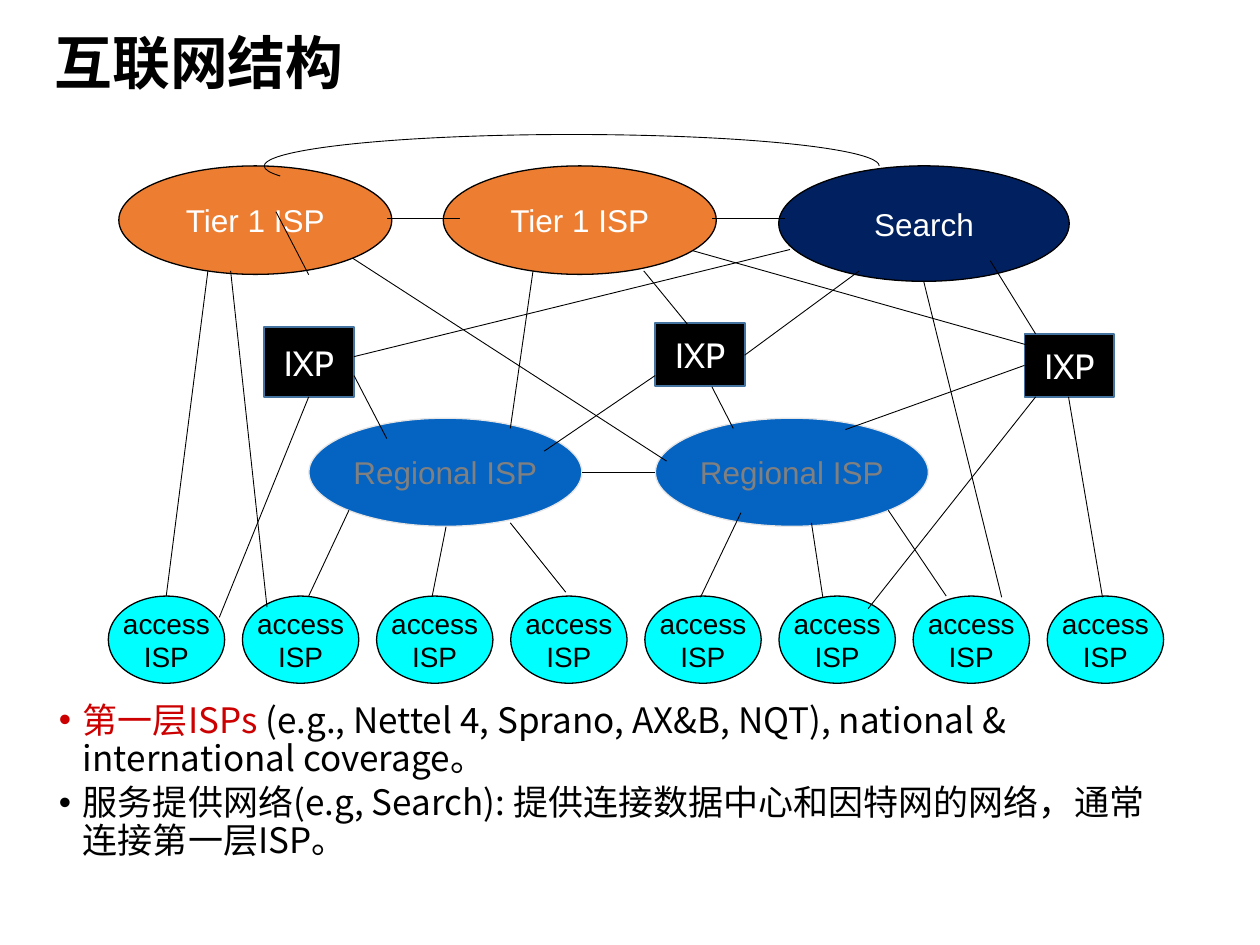
from dataclasses import dataclass

from lxml.etree import SubElement
from pptx import Presentation
from pptx.dml.color import RGBColor
from pptx.enum.shapes import MSO_CONNECTOR, MSO_SHAPE
from pptx.enum.text import MSO_ANCHOR, PP_ALIGN
from pptx.oxml.ns import qn
from pptx.util import Pt


@dataclass(frozen=True)
class Theme:
    black: str = "000000"
    white: str = "FFFFFF"
    red: str = "CC0000"
    gray: str = "808080"
    pale: str = "E7E6E6"
    cyan: str = "00FFFF"
    blue: str = "0563C1"
    navy: str = "002060"
    orange: str = "ED7D31"
    steel: str = "43739E"
    head: int = 33
    body: int = 20
    node: int = 18
    small: int = 16
    sans: str = "Arial"
    cjk: str = "Noto Sans CJK SC"
    mark: str = "Cabin"


theme = Theme()


def write(para, text, size, color, face, bold=False):
    run = para.add_run()
    run.text = text
    font = run.font
    font.size = Pt(size)
    font.bold = bold
    font.name = face
    font.color.rgb = RGBColor.from_string(color)
    SubElement(run._r.get_or_add_rPr(), qn("a:ea")).set("typeface", face)


deck = Presentation()
deck.slide_width = Pt(720)
deck.slide_height = Pt(540)
slide = deck.slides.add_slide(deck.slide_layouts[5])
shapes = slide.shapes

title = shapes.title
title.left, title.top, title.width, title.height = Pt(24), Pt(12.2), Pt(637), Pt(51)
title.text_frame.vertical_anchor = MSO_ANCHOR.MIDDLE
para = title.text_frame.paragraphs[0]
para.alignment = PP_ALIGN.LEFT
para.line_spacing = 0.9
write(para, "互联网结构", size=theme.head, color=theme.black, face=theme.cjk, bold=True)

notes = [
    [
        ("第一层ISPs ", theme.red),
        ("(e.g., Nettel 4, Sprano, AX&B, NQT), national & international coverage。", theme.black),
    ],
    [("服务提供网络(e.g, Search): 提供连接数据中心和因特网的网络，通常连接第一层ISP。", theme.black)],
]
box = shapes.add_textbox(Pt(0), Pt(398.2), Pt(664.6), Pt(100))
frame = box.text_frame
frame.word_wrap = True
for i, parts in enumerate(notes):
    para = frame.add_paragraph() if i else frame.paragraphs[0]
    para.line_spacing = 0.9
    if i:
        para.space_before = Pt(3.8)
    props = para._p.get_or_add_pPr()
    props.set("marL", str(Pt(40.3)))
    props.set("indent", str(Pt(-13.7)))
    SubElement(props, qn("a:buFont")).set("typeface", theme.sans)
    SubElement(props, qn("a:buChar")).set("char", "•")
    for text, color in parts:
        write(para, text, size=theme.body, color=color, face=theme.cjk)

oval, rect = MSO_SHAPE.OVAL, MSO_SHAPE.RECTANGLE
looks = {
    "access": (oval, theme.cyan, theme.black, 0.75, theme.black, theme.small, theme.sans),
    "region": (oval, theme.blue, theme.pale, 0.75, theme.gray, theme.node, theme.sans),
    "ixp": (rect, theme.black, theme.steel, 1, theme.white, theme.body, theme.mark),
    "tier": (oval, theme.orange, theme.black, 0.75, theme.white, theme.node, theme.sans),
    "content": (oval, theme.navy, theme.black, 0.75, theme.white, theme.node, theme.sans),
}
nodes = [("access", "access\nISP", 61.9 + 76.65 * i, 340.6, 66.5, 49.8) for i in range(8)]
nodes += [("region", "Regional ISP", x, 239, 156, 61.8) for x in (176.5, 374.5)]
nodes += [("tier", "Tier 1 ISP", x, 94.8, 156, 62) for x in (67.9, 253.3)]
nodes += [
    ("content", "Search", 445, 94.8, 166, 66),
    ("ixp", "IXP", 151, 187, 51.2, 39.8),
    ("ixp", "IXP", 374.5, 184.8, 51.2, 36),
    ("ixp", "IXP", 585.5, 190.8, 51.2, 36),
]
for kind, label, x, y, w, h in nodes:
    form, fill, edge, width, color, size, face = looks[kind]
    node = shapes.add_shape(form, Pt(x), Pt(y), Pt(w), Pt(h))
    node.shadow.inherit = False
    node.fill.solid()
    node.fill.fore_color.rgb = RGBColor.from_string(fill)
    node.line.color.rgb = RGBColor.from_string(edge)
    node.line.width = Pt(width)
    frame = node.text_frame
    frame.word_wrap = kind == "ixp"
    frame.vertical_anchor = MSO_ANCHOR.MIDDLE
    for i, text in enumerate(label.split("\n")):
        para = frame.add_paragraph() if i else frame.paragraphs[0]
        para.alignment = PP_ALIGN.CENTER
        write(para, text, size=size, color=color, face=face)

arc = shapes.add_shape(MSO_SHAPE.ARC, Pt(151), Pt(76.9), Pt(351.4), Pt(36))
arc.adjustments[0] = 106.82
arc.adjustments[1] = 0
arc.shadow.inherit = False
arc.fill.background()
arc.line.color.rgb = RGBColor.from_string(theme.black)
arc.line.width = Pt(0.5)

links = [
    (118.8, 154.8, 95, 340.6),
    (131.8, 154.8, 152.6, 347),
    (157.7, 121, 176.4, 157),
    (201.6, 147.6, 380.9, 263.5),
    (262.8, 124.6, 221, 124.6),
    (304.6, 154.8, 291.6, 244.8),
    (367.9, 154.8, 400.3, 194.4),
    (396, 143.3, 587.5, 197.3),
    (448.6, 124.6, 406.8, 124.6),
    (451.4, 142.6, 202.3, 203.8),
    (491, 154.8, 425.5, 203),
    (527.8, 160.6, 572.4, 341.3),
    (565.9, 149, 591.8, 190.8),
    (176.4, 226.8, 125.3, 352.8),
    (202.3, 214.6, 221, 250.6),
    (374.4, 214.6, 311, 257.8),
    (406.8, 221, 419, 244.8),
    (585.4, 208.8, 483.1, 245.5),
    (591.8, 226.8, 496.1, 347.8),
    (610.6, 226.8, 630, 341.3),
    (374.4, 270, 332.6, 270),
    (199.4, 291.6, 176.4, 340.6),
    (254.9, 301, 247, 340.6),
    (291.6, 298.8, 323.3, 338.4),
    (423.4, 293, 400.3, 341.3),
    (463.7, 298.8, 470.2, 341.3),
    (507.6, 291.6, 540.7, 340.6),
]
for ends in links:
    link = shapes.add_connector(MSO_CONNECTOR.STRAIGHT, *map(Pt, ends))
    link.line.color.rgb = RGBColor.from_string(theme.black)
    link.line.width = Pt(0.5)
    SubElement(link._element.spPr, qn("a:effectLst"))

deck.save("out.pptx")
